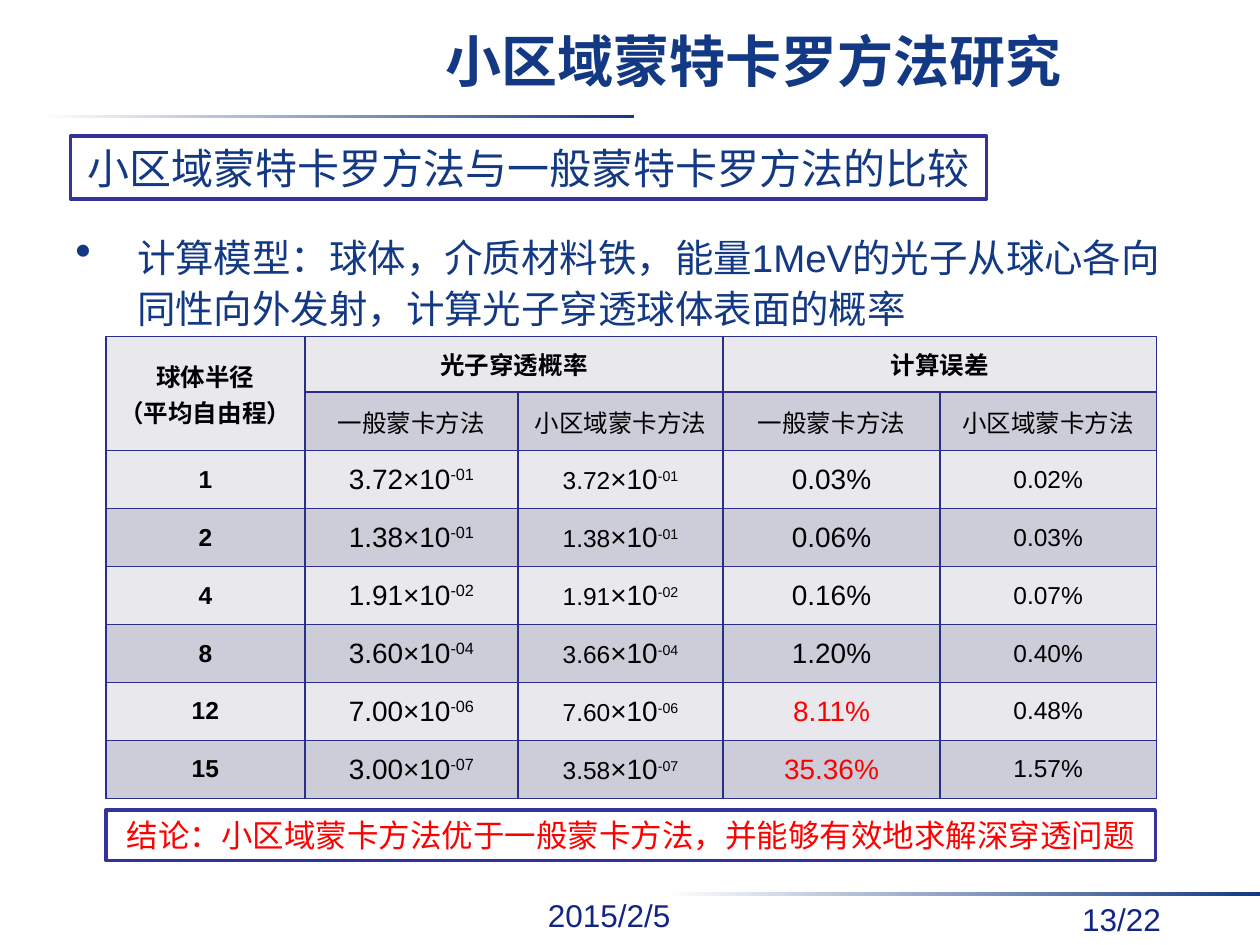
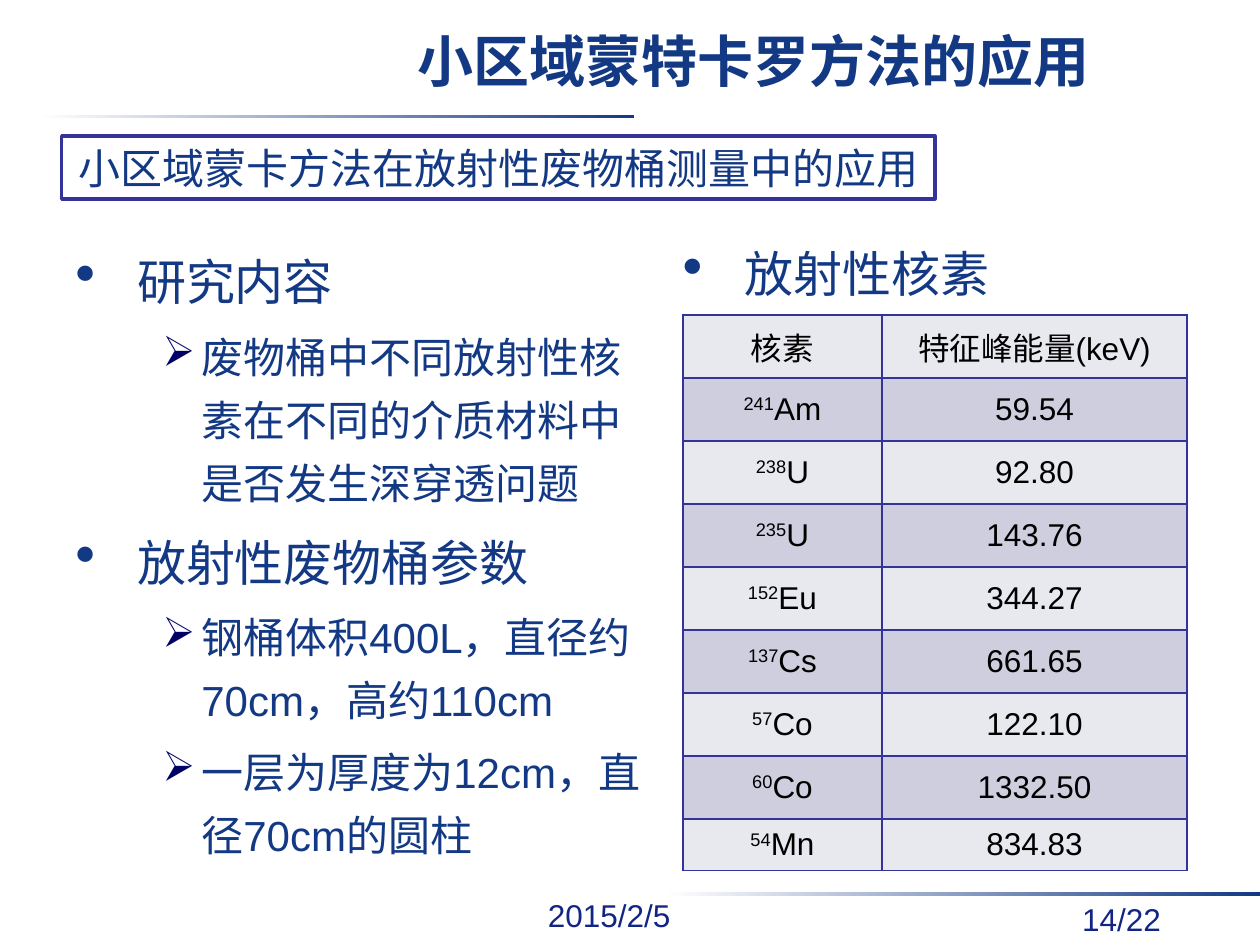
import dataclasses

import lxml.etree
import pptx
import pptx.dml.color
import pptx.enum.shapes
import pptx.enum.text
import pptx.oxml.ns
import pptx.util

Inches = pptx.util.Inches
Pt = pptx.util.Pt
RGB = pptx.dml.color.RGBColor.from_string
qn = pptx.oxml.ns.qn
Align = pptx.enum.text.PP_ALIGN
Anchor = pptx.enum.text.MSO_ANCHOR
RECTANGLE = pptx.enum.shapes.MSO_SHAPE.RECTANGLE


@dataclasses.dataclass(frozen=True)
class Theme:
    navy: str = "133984"
    footer: str = "132584"
    frame: str = "333399"
    grid: str = "2D2D8A"
    arrow: str = "000066"
    red: str = "FF0000"
    black: str = "000000"
    white: str = "FFFFFF"
    result_bands: tuple = ("E8E8ED", "CDCDDA")
    nuclide_bands: tuple = ("E8E8EF", "CECEDE")
    latin: str = "Arial"
    chinese: str = "Noto Sans CJK SC"
    title_size: int = 32
    topic_size: int = 28
    heading_size: int = 24
    model_size: int = 22
    normal_size: int = 18
    large_cell: int = 16
    small_cell: int = 14


theme = Theme()


def write(paragraph, content, size, color, bold=False, align=Align.CENTER, font=theme.latin):
    """Fill a paragraph with a string or with (text, raised, size) parts."""
    paragraph.alignment = align
    paragraph.font.name = font
    paragraph.font.size = Pt(size)
    paragraph.font.bold = bold
    paragraph.font.color.rgb = RGB(color)
    defaults = paragraph._p.get_or_add_pPr().find(qn("a:defRPr"))
    lxml.etree.SubElement(defaults, qn("a:ea"), typeface=theme.chinese)
    parts = [(content, False, size)] if isinstance(content, str) else content
    for text, raised, part_size in parts:
        run = paragraph.add_run()
        run.text = text
        if part_size != size:
            run.font.size = Pt(part_size)
        if raised:
            run._r.get_or_add_rPr().set("baseline", "30000")


def add_grid(slide, left, top, widths, heights, bands, border):
    """Add a table with alternating row fills and a border round every cell."""
    table = slide.shapes.add_table(
        len(heights), len(widths), Inches(left), Inches(top),
        Inches(sum(widths)), Inches(sum(heights))).table
    table.first_row = table.horz_banding = False
    for column, width in zip(table.columns, widths):
        column.width = Inches(width)
    for index, (row, height) in enumerate(zip(table.rows, heights)):
        row.height = Inches(height)
        for cell in row.cells:
            cell.vertical_anchor = Anchor.MIDDLE
            cell.fill.solid()
            cell.fill.fore_color.rgb = RGB(bands[index % 2])
            properties = cell._tc.get_or_add_tcPr()
            for position, side in enumerate(("lnL", "lnR", "lnT", "lnB")):
                line = lxml.etree.Element(qn(f"a:{side}"), w=str(Pt(1)))
                solid = lxml.etree.SubElement(line, qn("a:solidFill"))
                lxml.etree.SubElement(solid, qn("a:srgbClr"), val=border)
                properties.insert(position, line)
    return table


deck = pptx.Presentation()
deck.slide_width, deck.slide_height = Inches(10), Inches(7.5)
comparison, application = [deck.slides.add_slide(deck.slide_layouts[6]) for _ in range(2)]

# Rules, footers and titles
pages = [(comparison, "小区域蒙特卡罗方法研究", "13/22"),
         (application, "小区域蒙特卡罗方法的应用", "14/22")]
for slide, title, page_number in pages:
    for left, top in ((0.31, 0.91), (5.28, 7.08)):
        rule = slide.shapes.add_shape(
            RECTANGLE, Inches(left), Inches(top), Inches(4.72), Inches(0.03))
        rule.shadow.inherit = False
        rule.line.fill.background()
        rule.fill.gradient()
        rule.fill.gradient_angle = 0
        for stop, color in zip(rule.fill.gradient_stops, (theme.white, theme.navy)):
            stop.color.rgb = RGB(color)
    for left, top, width, text in ((4.25, 7.06, 1.49, "2015/2/5"), (8.49, 7.09, 0.86, page_number)):
        footer = slide.shapes.add_textbox(
            Inches(left), Inches(top), Inches(width), Inches(0.4)).text_frame
        footer.word_wrap = True
        write(footer.paragraphs[0], text, theme.normal_size, theme.footer, align=Align.LEFT)
    heading = slide.shapes.add_textbox(
        Inches(2.5), Inches(0.15), Inches(6.97), Inches(0.75)).text_frame
    heading.word_wrap = True
    heading.margin_top = Inches(0.06)
    write(heading.paragraphs[0], title, theme.title_size, theme.navy, bold=True)

# Bulleted text: each item is (level, text, size)
outlines = [
    (comparison, (0.5, 1.77, 9, 5.07), 1.1, [
        (0, "计算模型：球体，介质材料铁，能量1MeV的光子从球心各向同性向外发射，计算光子穿透球体表面的概率",
         theme.model_size)]),
    (application, (5.32, 1.77, 4.42, 5.21), 1.25, [(0, "放射性核素", theme.topic_size)]),
    (application, (0.5, 1.83, 4.75, 5.33), 1.25, [
        (0, "研究内容", theme.topic_size),
        (1, "废物桶中不同放射性核素在不同的介质材料中是否发生深穿透问题", theme.heading_size),
        (0, "放射性废物桶参数", theme.topic_size),
        (1, "钢桶体积400L，直径约70cm，高约110cm", theme.heading_size),
        (1, "一层为厚度为12cm，直径70cm的圆柱", theme.heading_size)]),
]
for slide, box, spacing, items in outlines:
    outline = slide.shapes.add_textbox(*map(Inches, box)).text_frame
    outline.word_wrap = True
    for index, (level, text, size) in enumerate(items):
        paragraph = outline.add_paragraph() if index else outline.paragraphs[0]
        write(paragraph, text, size, theme.navy, align=Align.LEFT)
        paragraph.level = level
        paragraph.line_spacing = spacing
        properties = paragraph._p.get_or_add_pPr()
        margin, indent = ((0.49, -0.49), (1, -0.31))[level]
        properties.set("marL", str(Inches(margin)))
        properties.set("indent", str(Inches(indent)))
        before = lxml.etree.Element(qn("a:spcBef"))
        lxml.etree.SubElement(before, qn("a:spcPct"), val="20000")
        properties.find(qn("a:lnSpc")).addnext(before)
        if level:
            marker = lxml.etree.Element(qn("a:buClr"))
            lxml.etree.SubElement(marker, qn("a:srgbClr"), val=theme.arrow)
        else:
            marker = lxml.etree.Element(qn("a:buSzPct"), val="120000")
        before.addnext(marker)
        marker.addnext(lxml.etree.Element(qn("a:buChar"), char="•➢"[level]))

# Penetration probabilities and errors
results = add_grid(comparison, 0.84, 2.67, (1.58, 1.69, 1.63, 1.72, 1.72),
                   [0.44] * 2 + [0.46] * 6, theme.result_bands, theme.grid)
for row in results.rows:
    for cell in row.cells:
        cell.margin_left = cell.margin_right = Inches(0.07)
        cell.margin_top = cell.margin_bottom = 0
for first, last in (((0, 0), (1, 0)), ((0, 1), (0, 2)), ((0, 3), (0, 4))):
    results.cell(*first).merge(results.cell(*last))

radius_header = results.cell(0, 0).text_frame
write(radius_header.paragraphs[0], "球体半径", theme.small_cell, theme.black, bold=True)
write(radius_header.add_paragraph(), "（平均自由程）", theme.small_cell, theme.black, bold=True)
for column, group in ((1, "光子穿透概率"), (3, "计算误差")):
    write(results.cell(0, column).text_frame.paragraphs[0], group,
          theme.small_cell, theme.black, bold=True)
    for offset, method in enumerate(("一般蒙卡方法", "小区域蒙卡方法")):
        write(results.cell(1, column + offset).text_frame.paragraphs[0], method,
              theme.small_cell, theme.black)

large, small = theme.large_cell, theme.small_cell
measurements = [
    # radius, general and small-region mantissa, exponent, general and small-region error
    ("1", "3.72", "3.72", "-01", "0.03%", "0.02%"),
    ("2", "1.38", "1.38", "-01", "0.06%", "0.03%"),
    ("4", "1.91", "1.91", "-02", "0.16%", "0.07%"),
    ("8", "3.60", "3.66", "-04", "1.20%", "0.40%"),
    ("12", "7.00", "7.60", "-06", "8.11%", "0.48%"),
    ("15", "3.00", "3.58", "-07", "35.36%", "1.57%"),
]
for row, (radius, general, regional, exponent, general_error, regional_error) in enumerate(measurements, 2):
    error_color = theme.red if float(general_error.rstrip("%")) > 5 else theme.black
    entries = [
        (radius, small, theme.black, True),
        ([(general + "×10", False, large), (exponent, True, large)], large, theme.black, False),
        ([(regional, False, small), ("×10", False, large), (exponent, True, small)],
         small, theme.black, False),
        (general_error, large, error_color, False),
        (regional_error, small, theme.black, False),
    ]
    for column, entry in enumerate(entries):
        write(results.cell(row, column).text_frame.paragraphs[0], *entry)

# Framed headings and conclusion
framed = [
    (comparison, (0.56, 1.08, 7.27, 0.5), "小区域蒙特卡罗方法与一般蒙特卡罗方法的比较",
     theme.heading_size, theme.navy, False),
    (comparison, (0.84, 6.43, 8.33, 0.4), "结论：小区域蒙卡方法优于一般蒙卡方法，并能够有效地求解深穿透问题",
     theme.normal_size, theme.red, True),
    (application, (0.49, 1.08, 6.93, 0.5), "小区域蒙卡方法在放射性废物桶测量中的应用",
     theme.heading_size, theme.navy, False),
]
for slide, box, text, size, color, wraps in framed:
    panel = slide.shapes.add_shape(RECTANGLE, *map(Inches, box))
    panel.shadow.inherit = False
    panel.fill.solid()
    panel.fill.fore_color.rgb = RGB(theme.white)
    panel.line.color.rgb = RGB(theme.frame)
    panel.line.width = Pt(2)
    panel.text_frame.word_wrap = wraps
    panel.text_frame.auto_size = pptx.enum.text.MSO_AUTO_SIZE.SHAPE_TO_FIT_TEXT
    panel.text_frame.vertical_anchor = Anchor.TOP
    write(panel.text_frame.paragraphs[0], text, size, color, font=theme.chinese)

# Nuclides and their peak energies
nuclides = [
    ("241", "Am", "59.54"), ("238", "U", "92.80"), ("235", "U", "143.76"),
    ("152", "Eu", "344.27"), ("137", "Cs", "661.65"), ("57", "Co", "122.10"),
    ("60", "Co", "1332.50"), ("54", "Mn", "834.83"),
]
energies = add_grid(application, 5.42, 2.5, (1.58, 2.42), [0.5] * 8 + [0.41],
                    theme.nuclide_bands, theme.frame)
lines = [("核素", "特征峰能量(keV)")]
for mass, element, energy in nuclides:
    lines.append(([(mass, True, theme.normal_size), (element, False, theme.normal_size)], energy))
for row, line in enumerate(lines):
    for column, content in enumerate(line):
        cell = energies.cell(row, column)
        if row:
            cell.margin_left = cell.margin_right = Inches(0.04)
            cell.margin_top = cell.margin_bottom = 0
        write(cell.text_frame.paragraphs[0], content, theme.normal_size, theme.black)

deck.save("out.pptx")
